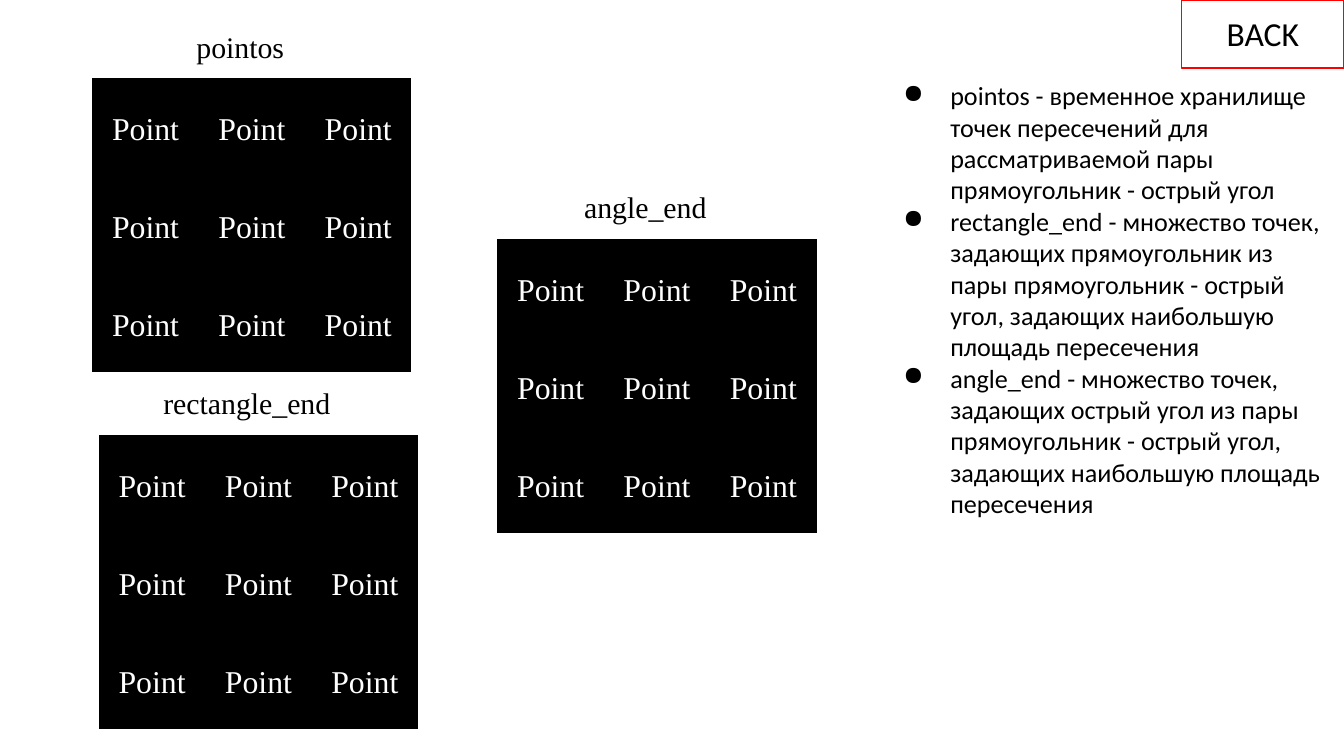
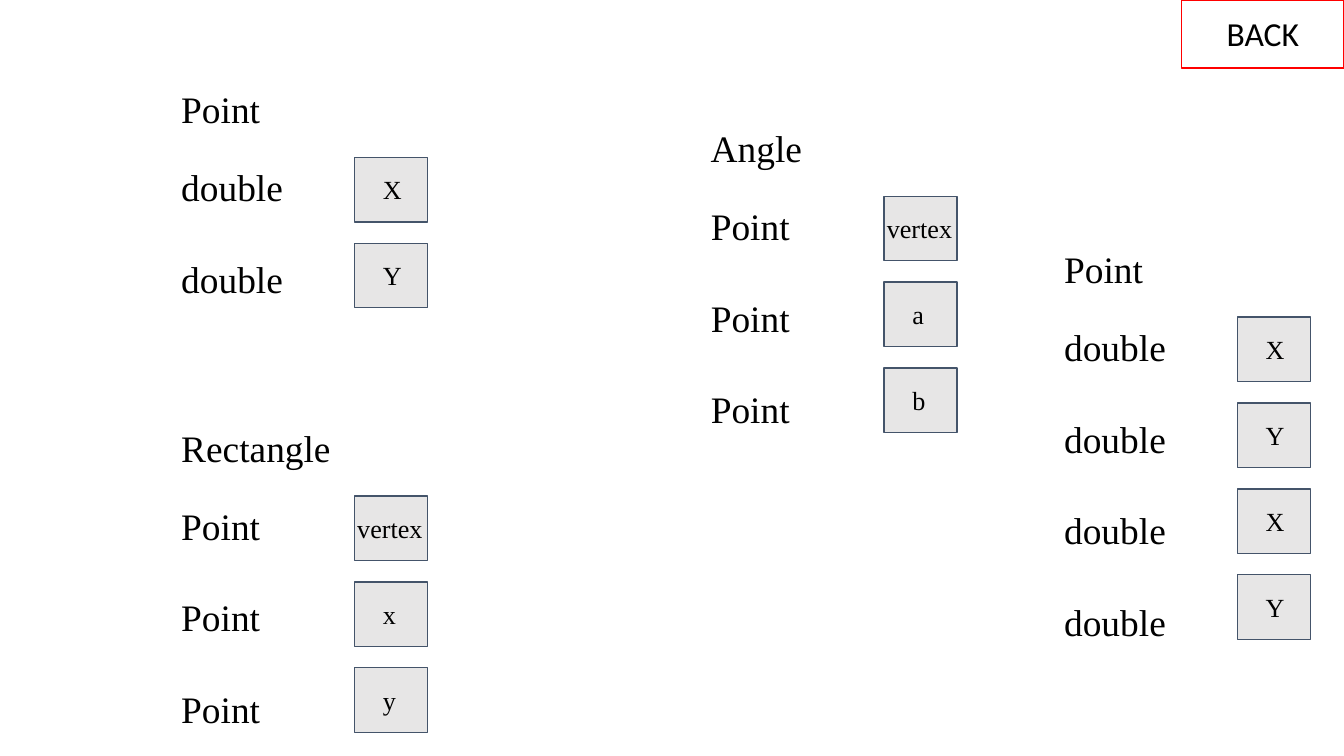
from lxml import etree
from pptx import Presentation
from pptx.dml.color import RGBColor
from pptx.enum.shapes import MSO_SHAPE
from pptx.enum.text import MSO_ANCHOR, MSO_AUTO_SIZE, PP_ALIGN
from pptx.oxml.ns import qn
from pptx.util import Pt

SERIF = "Times New Roman"
SANS = "Calibri"
BLACK = "000000"
WHITE = "FFFFFF"
RED = "FF0000"
GREY = "E7E6E6"
SLATE = "44546A"
MARGIN = 7.2
PLAIN_TABLE = "{2D5ABB26-0587-4C30-8999-92F81FD0307C}"


def color(hex_code):
    return RGBColor.from_string(hex_code)


def write(frame, lines, size, font=SERIF, ink=BLACK, align=PP_ALIGN.LEFT,
          gap=0, spacing=None, bullet=None):
    frame.word_wrap = True
    frame.margin_left = frame.margin_right = Pt(MARGIN)
    frame.margin_top = frame.margin_bottom = Pt(MARGIN)
    for index, line in enumerate(lines):
        para = frame.paragraphs[0] if index == 0 else frame.add_paragraph()
        para.text = line
        para.alignment = align
        if spacing:
            para.line_spacing = spacing
        if index and gap:
            para.space_before = Pt(gap)
        if bullet:
            props = para._p.get_or_add_pPr()
            props.set("marL", str(Pt(36)))
            props.set("indent", str(Pt(-25.2)))
            tint = etree.SubElement(props, qn("a:buClr"))
            etree.SubElement(tint, qn("a:srgbClr"), val=ink)
            etree.SubElement(props, qn("a:buChar"), char=bullet)
        para.font.size = Pt(size)
        para.font.name = font
        para.font.color.rgb = color(ink)


deck = Presentation()
deck.slide_width = Pt(720)
deck.slide_height = Pt(405)
blank = deck.slide_layouts[6]
sets_page = deck.slides.add_slide(blank)
types_page = deck.slides.add_slide(blank)

COLUMN, ROW = 57, 52.5
CAPTION_HEIGHT = 34
point_sets = [
    ("rectangle_end", 53, 233),
    ("pointos", 49.5, 42),
    ("angle_end", 266.5, 128),
]
for name, left, top in point_sets:
    holder = sets_page.shapes.add_table(
        3, 3, Pt(left), Pt(top), Pt(3 * COLUMN), Pt(3 * ROW))
    table = holder.table
    table.first_row = False
    table.horz_banding = False
    table._tbl.tblPr.find(qn("a:tableStyleId")).text = PLAIN_TABLE
    for column in table.columns:
        column.width = Pt(COLUMN)
    for row in table.rows:
        row.height = Pt(ROW)
    for cell in table.iter_cells():
        cell.fill.solid()
        cell.fill.fore_color.rgb = color(BLACK)
        cell.vertical_anchor = MSO_ANCHOR.MIDDLE
        cell.margin_top = cell.margin_bottom = Pt(MARGIN)
        cell.margin_left = cell.margin_right = Pt(MARGIN)
        para = cell.text_frame.paragraphs[0]
        para.text = "Point"
        para.alignment = PP_ALIGN.CENTER
        para.line_spacing = 1.15
        para.font.size = Pt(17)
        para.font.name = SERIF
        para.font.color.rgb = color(WHITE)
    caption = sets_page.shapes.add_textbox(
        Pt(left), Pt(top - CAPTION_HEIGHT), Pt(158.5), Pt(CAPTION_HEIGHT))
    write(caption.text_frame, [name], 16, align=PP_ALIGN.CENTER)

descriptions = [
    "pointos - временное хранилище точек пересечений для рассматриваемой "
    "пары прямоугольник - острый угол",
    "rectangle_end - множество точек, задающих прямоугольник из пары "
    "прямоугольник - острый угол, задающих наибольшую площадь пересечения",
    "angle_end - множество точек, задающих острый угол из пары "
    "прямоугольник - острый угол, задающих наибольшую площадь пересечения",
]
notes = sets_page.shapes.add_textbox(Pt(466), Pt(35.5), Pt(254), Pt(252))
write(notes.text_frame, descriptions, 14, font=SANS, bullet="●")

CELL_WIDTH, CELL_HEIGHT, CELL_PITCH = 39, 34.6, 46
FIELD_PITCH = 48.2
structures = [
    ("Point", "double", ["X", "Y"], 90, 39),
    ("Angle", "Point", ["vertex", "a", "b"], 373.7, 59.8),
    ("Rectangle", "Point", ["vertex", "x", "y"], 90, 220.4),
    ("Point", "double", ["X", "Y", "X", "Y"], 563, 124.6),
]
for name, kind, members, left, top in structures:
    for index, member in enumerate(members):
        cell_top = top + 45.3 + index * CELL_PITCH
        cell = types_page.shapes.add_shape(
            MSO_SHAPE.RECTANGLE, Pt(left + 100), Pt(cell_top),
            Pt(CELL_WIDTH), Pt(CELL_HEIGHT))
        cell.shadow.inherit = False
        cell.fill.solid()
        cell.fill.fore_color.rgb = color(GREY)
        cell.line.color.rgb = color(SLATE)
        cell.line.width = Pt(0.75)
        offset, width = (94.3, 88) if member == "vertex" else (108, 28)
        label = types_page.shapes.add_textbox(
            Pt(left + offset), Pt(cell_top + 1.5), Pt(width), Pt(31.7))
        write(label.text_frame, [member], 14)
    heading = types_page.shapes.add_textbox(
        Pt(left), Pt(top), Pt(104 if name == "Rectangle" else 88), Pt(39))
    write(heading.text_frame, [name], 20)
    fields = types_page.shapes.add_textbox(
        Pt(left), Pt(top + 41.7), Pt(114.5),
        Pt(39 + FIELD_PITCH * (len(members) - 1)))
    write(fields.text_frame, [kind] * len(members), 20, gap=25.2)

for page in deck.slides:
    page.background.fill.solid()
    page.background.fill.fore_color.rgb = color(WHITE)
    back = page.shapes.add_shape(
        MSO_SHAPE.RECTANGLE, Pt(633), Pt(0), Pt(87), Pt(36.4))
    back.shadow.inherit = False
    back.fill.solid()
    back.fill.fore_color.rgb = color(WHITE)
    back.line.color.rgb = color(RED)
    back.line.width = Pt(0.75)
    back.text_frame.vertical_anchor = MSO_ANCHOR.TOP
    back.text_frame.auto_size = MSO_AUTO_SIZE.SHAPE_TO_FIT_TEXT
    write(back.text_frame, ["BACK"], 18, font=SANS, align=PP_ALIGN.CENTER)

deck.save("out.pptx")
